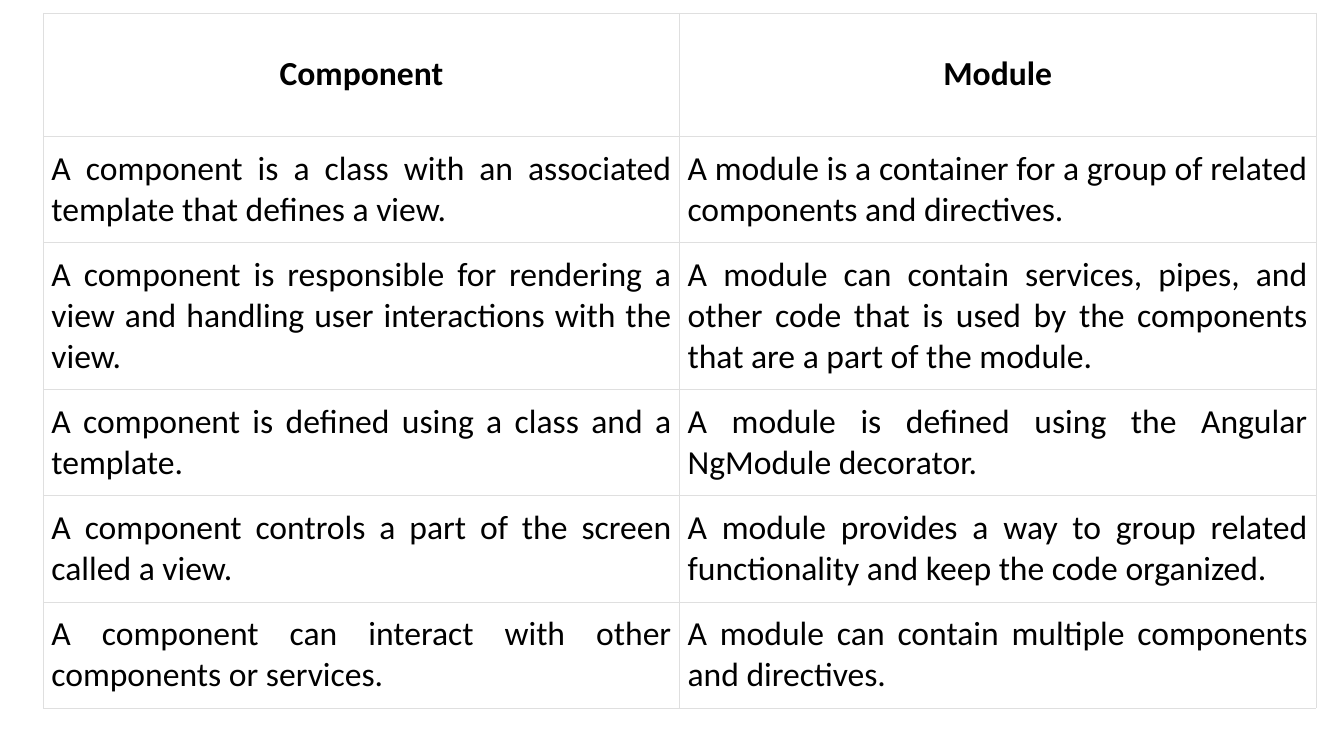
from typing import NamedTuple

from lxml.etree import SubElement
from pptx import Presentation
from pptx.dml.color import RGBColor
from pptx.enum.text import MSO_ANCHOR, PP_ALIGN
from pptx.oxml.ns import qn
from pptx.table import _Cell
from pptx.util import Inches, Pt

BLACK = RGBColor(0x00, 0x00, 0x00)
BORDER_GREY = RGBColor(0xDF, 0xDF, 0xDF)
BORDER_WIDTH = Pt(0.18)
COLUMN_WIDTH = Inches(6.31)
SIDE_MARGIN = Inches(0.08)


class Comparison(NamedTuple):
    component: str
    module: str
    height: float


HEADING = Comparison("Component", "Module", 1.22)
DIFFERENCES = [
    Comparison(
        "A component is a class with an associated template that defines a view.",
        "A module is a container for a group of related components and directives.",
        0.68,
    ),
    Comparison(
        "A component is responsible for rendering a view and handling user "
        "interactions with the view.",
        "A module can contain services, pipes, and other code that is used by the "
        "components that are a part of the module.",
        1,
    ),
    Comparison(
        "A component is defined using a class and a template.",
        "A module is defined using the Angular NgModule decorator.",
        0.68,
    ),
    Comparison(
        "A component controls a part of the screen called a view.",
        "A module provides a way to group related functionality and keep the code "
        "organized.",
        1,
    ),
    Comparison(
        "A component can interact with other components or services.",
        "A module can contain multiple components and directives.",
        0.68,
    ),
]


def draw_borders(cell: _Cell) -> None:
    properties = cell._tc.get_or_add_tcPr()
    for position, side in enumerate(("a:lnL", "a:lnR", "a:lnT", "a:lnB")):
        line = SubElement(properties, qn(side), w=str(int(BORDER_WIDTH)))
        solid = SubElement(line, qn("a:solidFill"))
        SubElement(solid, qn("a:srgbClr"), val=str(BORDER_GREY))
        # Border lines come before the cell fill
        properties.insert(position, line)


def write_cell(cell: _Cell, text: str, is_heading: bool) -> None:
    cell.fill.background()
    draw_borders(cell)
    cell.vertical_anchor = MSO_ANCHOR.MIDDLE
    cell.margin_left = cell.margin_right = SIDE_MARGIN
    cell.margin_top = cell.margin_bottom = Inches(0.08 if is_heading else 0.12)
    cell.text_frame.text = text
    paragraph = cell.text_frame.paragraphs[0]
    paragraph.alignment = PP_ALIGN.CENTER if is_heading else PP_ALIGN.JUSTIFY
    font = paragraph.runs[0].font
    font.name = "Calibri"
    font.size = Pt(24)
    font.bold = is_heading
    font.color.rgb = BLACK


def main() -> None:
    presentation = Presentation()
    presentation.slide_width = Inches(13.33)
    presentation.slide_height = Inches(7.5)
    slide = presentation.slides.add_slide(presentation.slide_layouts[6])

    # Comparison table
    comparisons = [HEADING, *DIFFERENCES]
    table = slide.shapes.add_table(
        len(comparisons), 2,
        Inches(0.43), Inches(0.13), 2 * COLUMN_WIDTH, Inches(6.79),
    ).table
    table.horz_banding = False
    for column in table.columns:
        column.width = COLUMN_WIDTH

    # Heading row and differences
    for row, comparison in zip(table.rows, comparisons):
        row.height = Inches(comparison.height)
        is_heading = comparison is HEADING
        for cell, text in zip(row.cells, (comparison.component, comparison.module)):
            write_cell(cell, text, is_heading)

    # The narrower side margins of the first heading
    component_heading = table.cell(0, 0)
    component_heading.margin_left = component_heading.margin_right = Inches(0.04)

    presentation.save("out.pptx")


if __name__ == "__main__":
    main()
